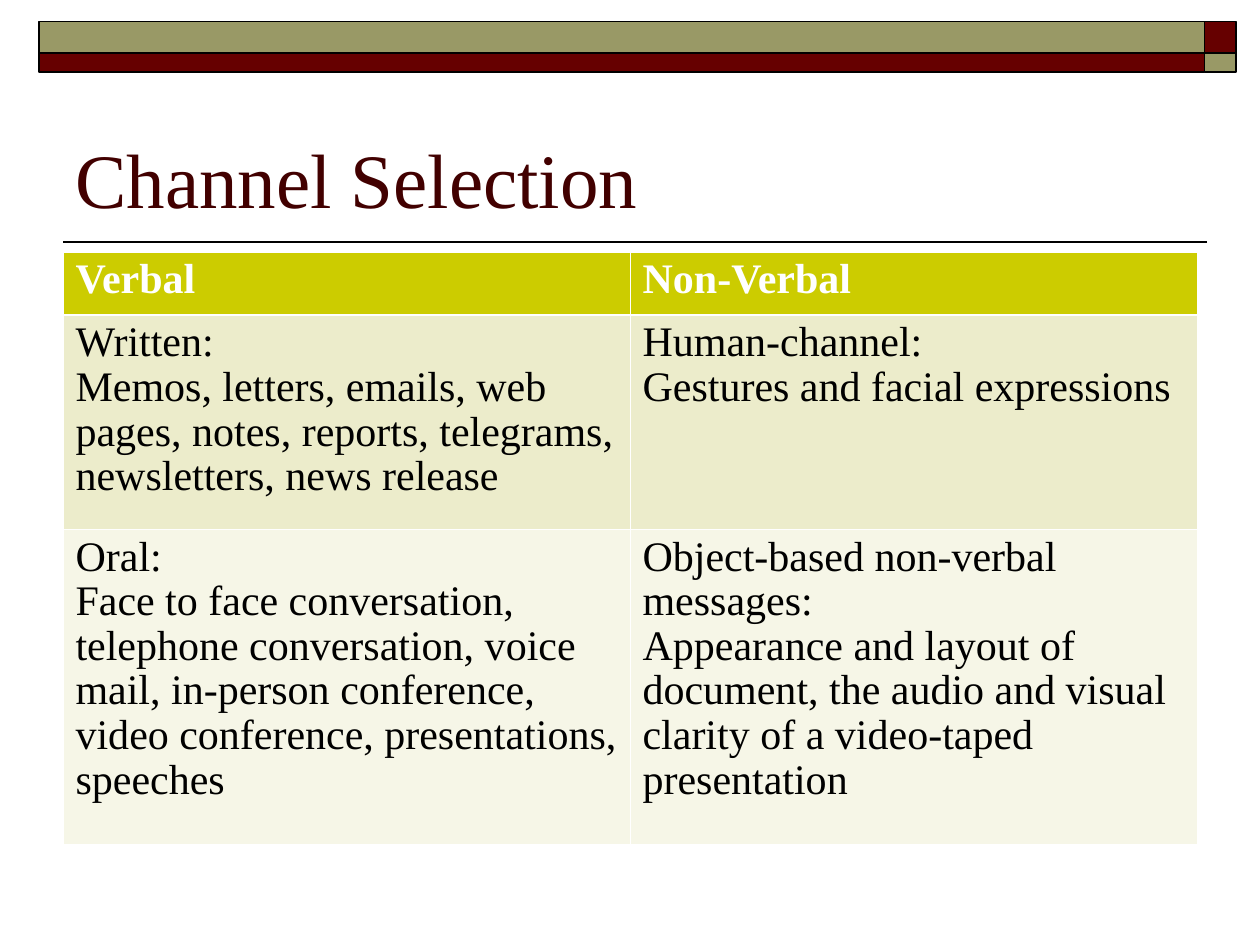
from lxml.etree import SubElement
from pptx import Presentation
from pptx.dml.color import RGBColor
from pptx.enum.shapes import MSO_CONNECTOR, MSO_SHAPE
from pptx.enum.text import MSO_ANCHOR
from pptx.oxml.ns import qn
from pptx.util import Inches, Pt

FONT = "Times New Roman"
HUES = {
    "wine": "660000", "olive": "999966", "title": "420000",
    "black": "000000", "white": "FFFFFF",
    "head": "CCCC00", "odd": "ECECCB", "even": "F6F6E7",
}
LEFT, WIDE = 0.5, 9  # shared by title and table

ROWS = [  # height, fill, cells as lists of paragraphs
    (0.5, "head", [["Verbal"], ["Non-Verbal"]]),
    (1.7, "odd", [
        ["Written:",
         "Memos, letters, emails, web pages, notes, reports, telegrams, "
         "newsletters, news release"],
        ["Human-channel:", "Gestures and facial expressions"]]),
    (2.5, "even", [
        ["Oral:",
         "Face to face conversation, telephone conversation, voice mail, "
         "in-person conference, video conference, presentations, speeches"],
        ["Object-based non-verbal messages:",
         "Appearance and layout of document, the audio and visual clarity "
         "of a video-taped presentation"]]),
]


def hue(name):
    return RGBColor.from_string(HUES[name])


def write(frame, lines, size, color, bold=False, space=None):
    frame.word_wrap = True
    for i, line in enumerate(lines):
        para = frame.add_paragraph() if i else frame.paragraphs[0]
        para.line_spacing = space
        run = para.add_run()
        run.text = line
        run.font.name, run.font.size = FONT, Pt(size)
        run.font.bold = bold
        run.font.color.rgb = hue(color)


def add_rule(slide, start, end, y):
    rule = slide.shapes.add_connector(
        MSO_CONNECTOR.STRAIGHT, Inches(start), Inches(y), Inches(end), Inches(y))
    rule.line.color.rgb = hue("black")
    rule.line.width = Pt(1)
    SubElement(rule._element.spPr, qn("a:effectLst"))


def add_band(slide):
    # Two columns by two rows, colours alternating
    cols = [(0.31, 9.25), (9.56, 0.25)]
    rows = [(0.17, 0.25), (0.42, 0.15)]
    for r, (y, high) in enumerate(rows):
        for c, (x, wide) in enumerate(cols):
            box = slide.shapes.add_shape(
                MSO_SHAPE.RECTANGLE, Inches(x), Inches(y), Inches(wide), Inches(high))
            box.shadow.inherit = False
            box.fill.solid()
            box.fill.fore_color.rgb = hue("wine" if (r + c) % 2 else "olive")
            box.line.color.rgb = hue("black")
            box.line.width = Pt(1)


def add_title(slide, text):
    box = slide.shapes.add_textbox(
        Inches(LEFT), Inches(0.58), Inches(WIDE), Inches(1.25))
    box.text_frame.vertical_anchor = MSO_ANCHOR.BOTTOM
    write(box.text_frame, [text], 44, "title")


def set_edges(cell, widths):
    # Borders must come before the fill in the cell's properties
    props = cell._tc.get_or_add_tcPr()
    for side, width in widths.items():
        edge = SubElement(props, qn(f"a:ln{side}"), w=str(Pt(width)))
        fill = SubElement(edge, qn("a:solidFill"))
        SubElement(fill, qn("a:srgbClr"), val=HUES["white"])


def add_grid(slide):
    high = sum(row[0] for row in ROWS)
    count = len(ROWS[0][2])
    grid = slide.shapes.add_table(
        len(ROWS), count, Inches(LEFT), Inches(2), Inches(WIDE), Inches(high)).table
    for col in grid.columns:
        col.width = Inches(WIDE / count)
    for r, (tall, fill, cells) in enumerate(ROWS):
        grid.rows[r].height = Inches(tall)
        thin, thick = 0.45, 1.47
        edges = {"L": thin, "R": thin,
                 "T": thick if r == 1 else thin,
                 "B": thick if r == 0 else thin}
        for c, lines in enumerate(cells):
            cell = grid.cell(r, c)
            set_edges(cell, edges)
            cell.fill.solid()
            cell.fill.fore_color.rgb = hue(fill)
            write(cell.text_frame, lines, 24,
                  "black" if r else "white", bold=r == 0, space=0.96)


def main():
    deck = Presentation()
    deck.slide_width, deck.slide_height = Inches(10), Inches(7.5)
    slide = deck.slides.add_slide(deck.slide_layouts[6])
    # Top decoration and rule under the title
    add_rule(slide, 9.58, LEFT, 1.92)
    add_band(slide)
    # Content
    add_title(slide, "Channel Selection")
    add_grid(slide)
    deck.save("out.pptx")


if __name__ == "__main__":
    main()
